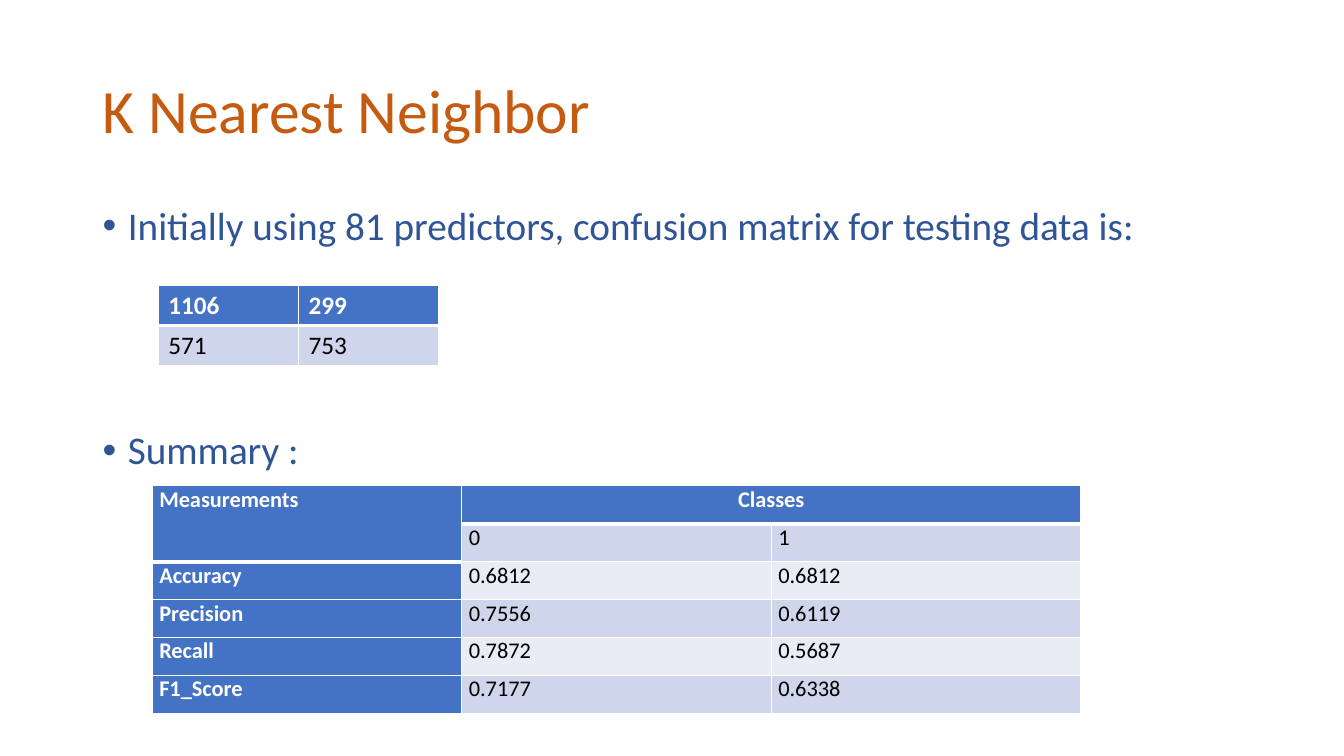
from lxml import etree
from pptx import Presentation
from pptx.dml.color import RGBColor
from pptx.enum.text import MSO_ANCHOR, PP_ALIGN
from pptx.oxml.ns import qn
from pptx.util import Inches, Pt

COLORS = {
    "title": "C55A11",
    "body": "2F5597",
    "header": "4472C4",
    "band": "CFD5EA",
    "light": "E9EBF5",
    "white": "FFFFFF",
    "black": "000000",
}
FONT = "Calibri"


def rgb(name):
    return RGBColor.from_string(COLORS[name])


def add_bullet(p):
    """Give the paragraph a round bullet with a quarter-inch hanging indent."""
    pPr = p._p.get_or_add_pPr()
    pPr.set("marL", str(Inches(0.25)))
    pPr.set("indent", str(-Inches(0.25)))
    etree.SubElement(pPr, qn("a:buFont"), typeface="Arial")
    etree.SubElement(pPr, qn("a:buChar"), char="•")


def write_text(p, text, size, color, bold=False, align=PP_ALIGN.LEFT,
               bullet=False, line=1.0, before=0):
    if bullet:
        add_bullet(p)
    p.alignment = align
    p.line_spacing = line
    p.space_before = Pt(before)
    r = p.add_run()
    r.text = text
    r.font.name = FONT
    r.font.size = Pt(size)
    r.font.bold = bold
    r.font.color.rgb = rgb(color)


def add_text_box(slide, left, top, width, height, anchor=MSO_ANCHOR.TOP):
    box = slide.shapes.add_textbox(
        Inches(left), Inches(top), Inches(width), Inches(height))
    tf = box.text_frame
    tf.word_wrap = True
    tf.vertical_anchor = anchor
    return tf


def set_borders(cell, **widths):
    """Draw white cell edges; widths are points keyed by L, R, T and B."""
    tcPr = cell._tc.get_or_add_tcPr()
    for side, width in widths.items():
        ln = etree.SubElement(tcPr, qn(f"a:ln{side}"), w=str(Pt(width)))
        fill = etree.SubElement(ln, qn("a:solidFill"))
        etree.SubElement(fill, qn("a:srgbClr"), val=COLORS["white"])


def add_table(slide, rows, left, top, width, height, size, headers, heavy,
              merges=(), centered=(), margins=None):
    """Build a banded table; headers and heavy are sets of (row, column)."""
    n_rows, n_cols = len(rows), len(rows[0])
    table = slide.shapes.add_table(
        n_rows, n_cols, Inches(left), Inches(top),
        Inches(width), Inches(height)).table
    table.first_row = table.horz_banding = False
    for i, row in enumerate(rows):
        for j, text in enumerate(row):
            cell = table.cell(i, j)
            is_header = (i, j) in headers
            set_borders(cell, L=1, R=1,
                        T=3 if (i - 1, j) in heavy else 1,
                        B=3 if (i, j) in heavy else 1)
            cell.fill.solid()
            band = "band" if i % 2 else "light"
            cell.fill.fore_color.rgb = rgb("header" if is_header else band)
            if margins:
                cell.margin_left = cell.margin_right = Inches(margins[0])
                cell.margin_top = cell.margin_bottom = Inches(margins[1])
            if text:
                write_text(
                    cell.text_frame.paragraphs[0], text, size,
                    "white" if is_header else "black", bold=is_header,
                    align=PP_ALIGN.CENTER if (i, j) in centered
                    else PP_ALIGN.LEFT)
    for first, last in merges:
        table.cell(*first).merge(table.cell(*last))


def add_confusion_matrix(slide):
    header_row = {(0, 0), (0, 1)}
    add_table(slide, [["1106", "299"], ["571", "753"]],
              1.57, 2.83, 2.78, 0.8, size=18,
              headers=header_row, heavy=header_row)


def add_summary(slide):
    rows = [
        ["Measurements", "Classes", ""],
        ["", "0", "1"],
        ["Accuracy", "0.6812", "0.6812"],
        ["Precision", "0.7556", "0.6119"],
        ["Recall", "0.7872", "0.5687"],
        ["F1_Score", "0.7177", "0.6338"],
    ]
    headers = {(i, 0) for i in range(len(rows))} | {(0, 1), (0, 2)}
    add_table(slide, rows, 1.51, 4.82, 9.21, 2.26, size=16,
              headers=headers, heavy={(0, 0), (1, 0), (0, 1), (0, 2)},
              merges=[((0, 0), (1, 0)), ((0, 1), (0, 2))],
              centered={(0, 1)}, margins=(0.07, 0))


def main():
    prs = Presentation()
    prs.slide_width, prs.slide_height = Inches(13.33), Inches(7.5)
    slide = prs.slides.add_slide(prs.slide_layouts[6])

    title = add_text_box(slide, 0.92, 0.4, 11.5, 1.45, MSO_ANCHOR.MIDDLE)
    write_text(title.paragraphs[0], "K Nearest Neighbor", 44, "title", line=0.9)

    body = add_text_box(slide, 0.92, 2, 11.5, 4.76)
    write_text(body.paragraphs[0],
               "Initially using 81 predictors, confusion matrix for testing data is:",
               28, "body", bullet=True, line=0.9)
    write_text(body.add_paragraph(), "Summary :", 28, "body",
               bullet=True, line=0.9, before=130)

    add_confusion_matrix(slide)
    add_summary(slide)
    prs.save("out.pptx")


if __name__ == "__main__":
    main()
